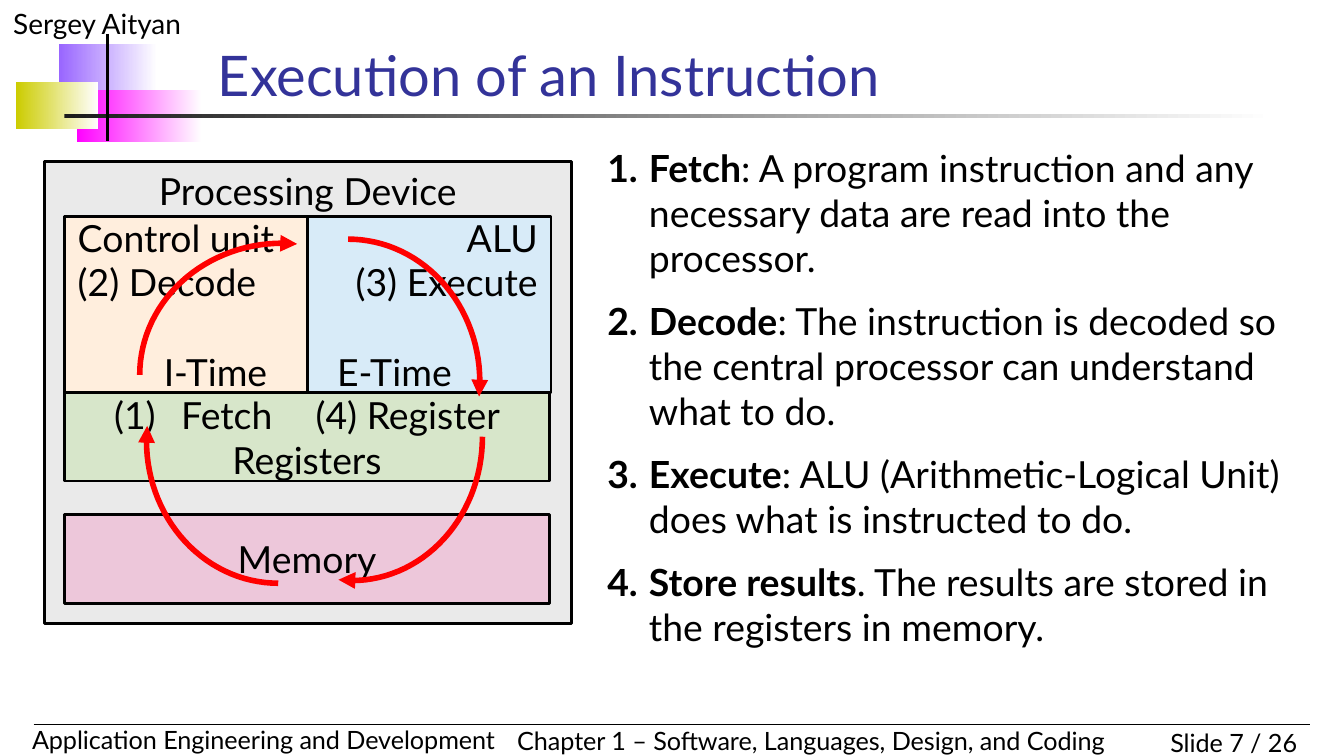
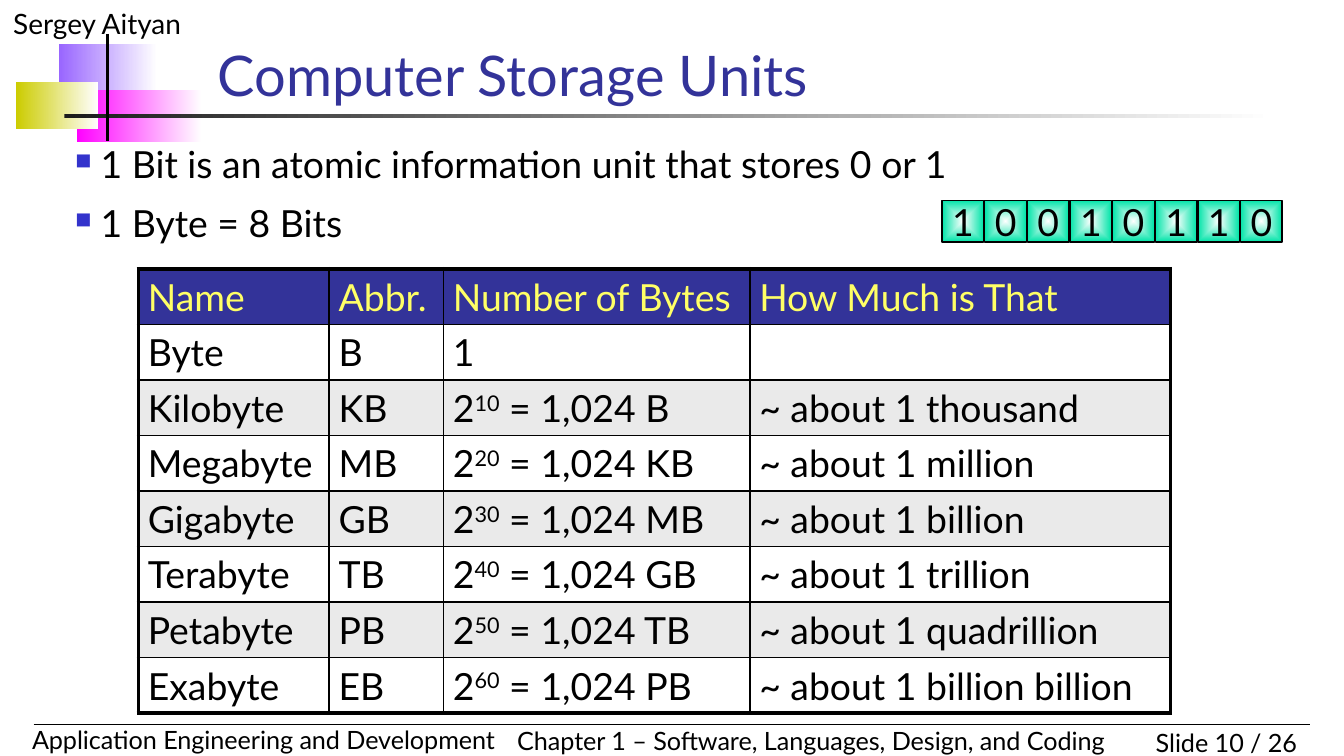
from math import cos, radians, sin

from lxml import etree
from pptx import Presentation
from pptx.dml.color import RGBColor
from pptx.enum.shapes import MSO_CONNECTOR, MSO_SHAPE
from pptx.enum.text import MSO_ANCHOR, PP_ALIGN
from pptx.oxml.ns import qn
from pptx.util import Inches, Pt

RECTANGLE = MSO_SHAPE.RECTANGLE
STRAIGHT = MSO_CONNECTOR.STRAIGHT
TOP, MIDDLE, BOTTOM = MSO_ANCHOR.TOP, MSO_ANCHOR.MIDDLE, MSO_ANCHOR.BOTTOM
LEFT, CENTER, RIGHT = PP_ALIGN.LEFT, PP_ALIGN.CENTER, PP_ALIGN.RIGHT

THEME = {
    "font": "Lato",
    "title_size": Pt(30), "body_size": Pt(20), "author_size": Pt(15), "footer_size": Pt(13.5),
    "black": RGBColor.from_string("000000"),
    "white": RGBColor.from_string("FFFFFF"),
    "navy": RGBColor.from_string("333399"),
    "yellow": RGBColor.from_string("FFFF66"),
    "gray": RGBColor.from_string("EAEAEA"),
    "violet": RGBColor.from_string("9966FF"),
    "magenta": RGBColor.from_string("FF00FF"),
    "olive": RGBColor.from_string("CCCC00"),
    "charcoal": RGBColor.from_string("1C1C1C"),
    "bullet": RGBColor.from_string("3333CC"),
    "green": RGBColor.from_string("D7E6CA"),
    "peach": RGBColor.from_string("FFEEDD"),
    "sky": RGBColor.from_string("D8EBF8"),
    "pink": RGBColor.from_string("EDC7DA"),
    "mint": RGBColor.from_string("00E4A8"),
    "red": RGBColor.from_string("FF0000"),
}


def write_text(frame, paragraphs, size="body_size", color="black", anchor=TOP):
    frame.word_wrap = True
    frame.vertical_anchor = anchor
    for index, (runs, paragraph_format) in enumerate(paragraphs):
        paragraph = frame.paragraphs[0] if index == 0 else frame.add_paragraph()
        for name, value in paragraph_format.items():
            setattr(paragraph, name, value)
        for text, font_format in ([(runs, {})] if isinstance(runs, str) else runs):
            for line_index, line in enumerate(text.split("\n")):
                if line_index:
                    paragraph.add_line_break()
                run = paragraph.add_run()
                run.text = line
                run.font.color.rgb = THEME[color]
                for name, value in {"name": THEME["font"], "size": THEME[size], **font_format}.items():
                    setattr(run.font, name, value)


def add_box(slide, place, colors, line_width=None):
    shape = slide.shapes.add_shape(RECTANGLE, *map(Inches, place))
    shape.shadow.inherit = False
    if len(colors) == 1:
        shape.fill.solid()
        shape.fill.fore_color.rgb = THEME[colors[0]]
    else:
        shape.fill.gradient()
        shape.fill.gradient_angle = 0
        for stop, color, position in zip(shape.fill.gradient_stops, colors, (0, 1)):
            stop.color.rgb = THEME[color]
            stop.position = position
    if line_width:
        shape.line.color.rgb = THEME["black"]
        shape.line.width = Pt(line_width)
    else:
        shape.line.fill.background()
    return shape


presentation = Presentation()
presentation.slide_width = Inches(10)
presentation.slide_height = Inches(10) * 9 // 16

BANDS = [
    ((0.44, 0.33, 0.73, 0.39), "violet"),
    ((0.57, 0.67, 0.93, 0.39), "magenta"),
    ((0.12, 0.61, 0.61, 0.35), "olive"),
    ((0.48, 0.85, 9, 0.03), "charcoal"),
]
RULES = [((0.25, 5.39, 9.75, 5.39), 0.75), ((0.8, 0.25, 0.8, 1.05), 2)]

slides = []
for title_text, number in [("Execution of an Instruction", 7), ("Computer Storage Units", 10)]:
    slide = presentation.slides.add_slide(presentation.slide_layouts[5])
    slides.append(slide)
    for place, color in BANDS:
        add_box(slide, place, (color, "white"))
    labels = [
        ((0, 0, 2.08, 0.35), "Sergey Aityan", "author_size", LEFT),
        ((8.25, 5.36, 1.5, 0.33), f"Slide {number} / 26", "footer_size", RIGHT),
        ((0.14, 5.34, 4.03, 0.33), "Application Engineering and Development", "footer_size", LEFT),
        ((3.75, 5.35, 4.75, 0.33), "Chapter 1 – Software, Languages, Design, and Coding",
         "footer_size", LEFT),
    ]
    for place, text, size, alignment in labels:
        label = slide.shapes.add_textbox(*map(Inches, place))
        write_text(label.text_frame, [(text, {"alignment": alignment})], size)
    for ends, width in RULES:
        rule = slide.shapes.add_connector(STRAIGHT, *map(Inches, ends))
        rule.line.color.rgb = THEME["black"]
        rule.line.width = Pt(width)
        etree.SubElement(rule._element.spPr, qn("a:effectLst"))
    title = slide.shapes.title
    title_place = {"left": 1.52, "top": 0.31, "width": 7.35, "height": 0.54}
    for name, value in title_place.items():
        setattr(title, name, Inches(value))
    write_text(title.text_frame, [(title_text, {"alignment": LEFT})], "title_size", "navy", BOTTOM)

execution_slide, storage_slide = slides

STEPS = [
    ("Fetch", ": A program instruction and any necessary data are read into the processor."),
    ("Decode", ": The instruction is decoded so the central processor can understand what to do."),
    ("Execute", ": ALU (Arithmetic-Logical Unit) does what is instructed to do."),
    ("Store results", ". The results are stored in the registers in memory."),
]
steps = execution_slide.shapes.add_textbox(*map(Inches, (4.42, 1.03, 5.25, 3.78)))
write_text(steps.text_frame, [
    ([(name, {"bold": True}), (description, {"bold": False})], {"space_before": Pt(10)})
    for name, description in STEPS
])

facts = storage_slide.shapes.add_textbox(*map(Inches, (0.46, 1.04, 7.69, 0.78)))
fact_format = {"space_before": Pt(10), "line_spacing": 0.9}
write_text(facts.text_frame, [
    ("1 Bit is an atomic information unit that stores 0 or 1", fact_format),
    ("1 Byte = 8 Bits", fact_format),
])

centered = {"alignment": CENTER}
left = {"alignment": LEFT}
right = {"alignment": RIGHT}
time_format = {"alignment": LEFT, "space_before": Pt(24)}
UNITS = [
    ((0.33, 1.2, 3.92, 3.44), "gray", TOP, [("Processing Device", centered)]),
    ((0.48, 2.92, 3.61, 0.66), "green", MIDDLE,
     [("Fetch\t(4) Register", centered), ("Registers", centered)]),
    ((0.48, 1.61, 1.81, 1.31), "peach", MIDDLE,
     [("Control unit\n(2) Decode", left), ("I-Time", time_format)]),
    ((2.29, 1.61, 1.81, 1.31), "sky", MIDDLE,
     [("ALU\n(3) Execute", right), ("E-Time", time_format)]),
    ((0.48, 3.83, 3.61, 0.66), "pink", MIDDLE, [("Memory", centered)]),
]
unit_boxes = []
for place, color, anchor, paragraphs in UNITS:
    unit = add_box(execution_slide, place, (color,), 1.5)
    write_text(unit.text_frame, paragraphs, anchor=anchor)
    unit_boxes.append(unit)

device, registers, control_unit, alu, memory = unit_boxes
for unit, indent in [(control_unit, 0.64), (alu, 0.12)]:
    time_paragraph = unit.text_frame.paragraphs[-1]
    time_paragraph._p.get_or_add_pPr().set("marL", str(Inches(indent)))

LISTS = [
    (steps.text_frame.paragraphs, 0.31, "black", 100, "a:buAutoNum", {"type": "arabicPeriod"}),
    (facts.text_frame.paragraphs, 0.19, "bullet", 60, "a:buChar", {"char": "■"}),
    (registers.text_frame.paragraphs[:1], 0.5, "black", 100, "a:buAutoNum",
     {"type": "arabicParenBoth"}),
]
for paragraphs, indent, color, percent, tag, marker in LISTS:
    for paragraph in paragraphs:
        properties = paragraph._p.get_or_add_pPr()
        properties.set("marL", str(Inches(indent)))
        properties.set("indent", str(-Inches(indent)))
        bullet_color = etree.SubElement(properties, qn("a:buClr"))
        etree.SubElement(bullet_color, qn("a:srgbClr"), val=str(THEME[color]))
        etree.SubElement(properties, qn("a:buSzPct"), val=str(percent * 1000))
        etree.SubElement(properties, qn(tag), **marker)

CYCLE_ARROWS = [
    (2.59, 2.84, 0.98, 1.06, 270),
    (2.1, 2.79, 1.06, 0.98, 180),
    (2.62, 3.25, 0.97, 1.07, 0),
    (2.07, 3.28, 0.98, 1.06, 90),
]
for center_x, center_y, radius_x, radius_y, start_angle in CYCLE_ARROWS:
    points = [
        (Inches(center_x + radius_x * cos(radians(start_angle + step))),
         Inches(center_y + radius_y * sin(radians(start_angle + step))))
        for step in range(0, 97, 3)
    ]
    builder = execution_slide.shapes.build_freeform(*points[0])
    builder.add_line_segments(points[1:], close=False)
    arrow = builder.convert_to_shape()
    arrow.shadow.inherit = False
    arrow.fill.background()
    arrow.line.color.rgb = THEME["red"]
    arrow.line.width = Pt(3)
    etree.SubElement(arrow.line._get_or_add_ln(), qn("a:tailEnd"), type="triangle")

ROWS = [("Name", "Abbr.", "Number of Bytes", "How Much is That"), ("Byte", "B", "1", "")]
UNIT_NAMES = [
    ("Kilobyte", "KB", "thousand"), ("Megabyte", "MB", "million"),
    ("Gigabyte", "GB", "billion"), ("Terabyte", "TB", "trillion"),
    ("Petabyte", "PB", "quadrillion"), ("Exabyte", "EB", "billion billion"),
]
smaller_unit = "B"
for power, (name, abbreviation, amount) in enumerate(UNIT_NAMES, 1):
    size_runs = [("2", {}), (str(power * 10), {}), (f" = 1,024 {smaller_unit}", {})]
    ROWS.append((name, abbreviation, size_runs, f"~ about 1 {amount}"))
    smaller_unit = abbreviation

COLUMN_WIDTHS = (1.42, 0.85, 2.28, 3.13)
table = storage_slide.shapes.add_table(
    len(ROWS), len(COLUMN_WIDTHS), *map(Inches, (1.03, 2, 7.69, 3.27))).table
table.first_row = False
table.horz_banding = False
for column, width in zip(table.columns, COLUMN_WIDTHS):
    column.width = Inches(width)
cell_margins = {"margin_left": 0.07, "margin_right": 0.07, "margin_top": 0.04, "margin_bottom": 0.04}
for row_index, row in enumerate(ROWS):
    table.rows[row_index].height = Inches(0.38)
    for column_index, content in enumerate(row):
        cell = table.cell(row_index, column_index)
        for name, value in cell_margins.items():
            setattr(cell, name, Inches(value))
        if content:
            write_text(cell.text_frame, [(content, {})], color="black" if row_index else "yellow")
        if isinstance(content, list):
            exponent = cell.text_frame.paragraphs[0].runs[1]
            exponent.font._element.set("baseline", "30000")
        outer_edges = {
            "a:lnL": column_index == 0, "a:lnR": column_index == len(row) - 1,
            "a:lnT": row_index == 0, "a:lnB": row_index == len(ROWS) - 1,
        }
        cell_properties = cell._tc.get_or_add_tcPr()
        for tag, is_outer in outer_edges.items():
            border = etree.SubElement(cell_properties, qn(tag), w=str(Pt(2.25 if is_outer else 1)))
            border_fill = etree.SubElement(border, qn("a:solidFill"))
            etree.SubElement(border_fill, qn("a:srgbClr"), val=str(THEME["black"]))
        if row_index % 2 == 0:
            cell.fill.solid()
            cell.fill.fore_color.rgb = THEME["gray" if row_index else "navy"]
        else:
            cell.fill.background()

for index, digit in enumerate("10010110"):
    bit = add_box(storage_slide, (7.01 + index * 2.22 / 7, 1.49, 0.31, 0.31), ("white", "mint"), 0.75)
    gradient = bit._element.spPr.find(qn("a:gradFill"))
    gradient.remove(gradient.find(qn("a:lin")))
    gradient_shape = etree.SubElement(gradient, qn("a:path"), {"path": "shape"})
    etree.SubElement(gradient_shape, qn("a:fillToRect"), dict.fromkeys("ltrb", "50000"))
    for name in cell_margins:
        setattr(bit.text_frame, name, 0)
    write_text(bit.text_frame, [(digit, centered)], anchor=MIDDLE)

presentation.save("out.pptx")
